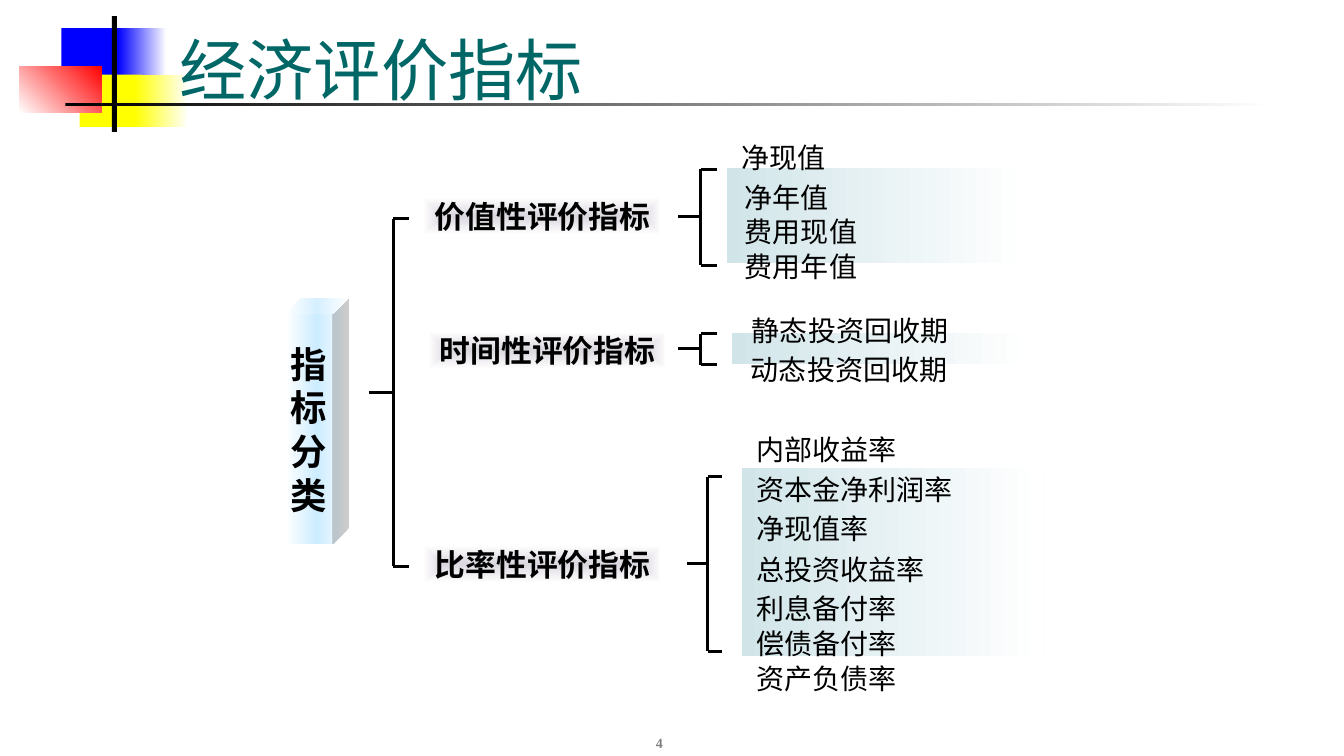
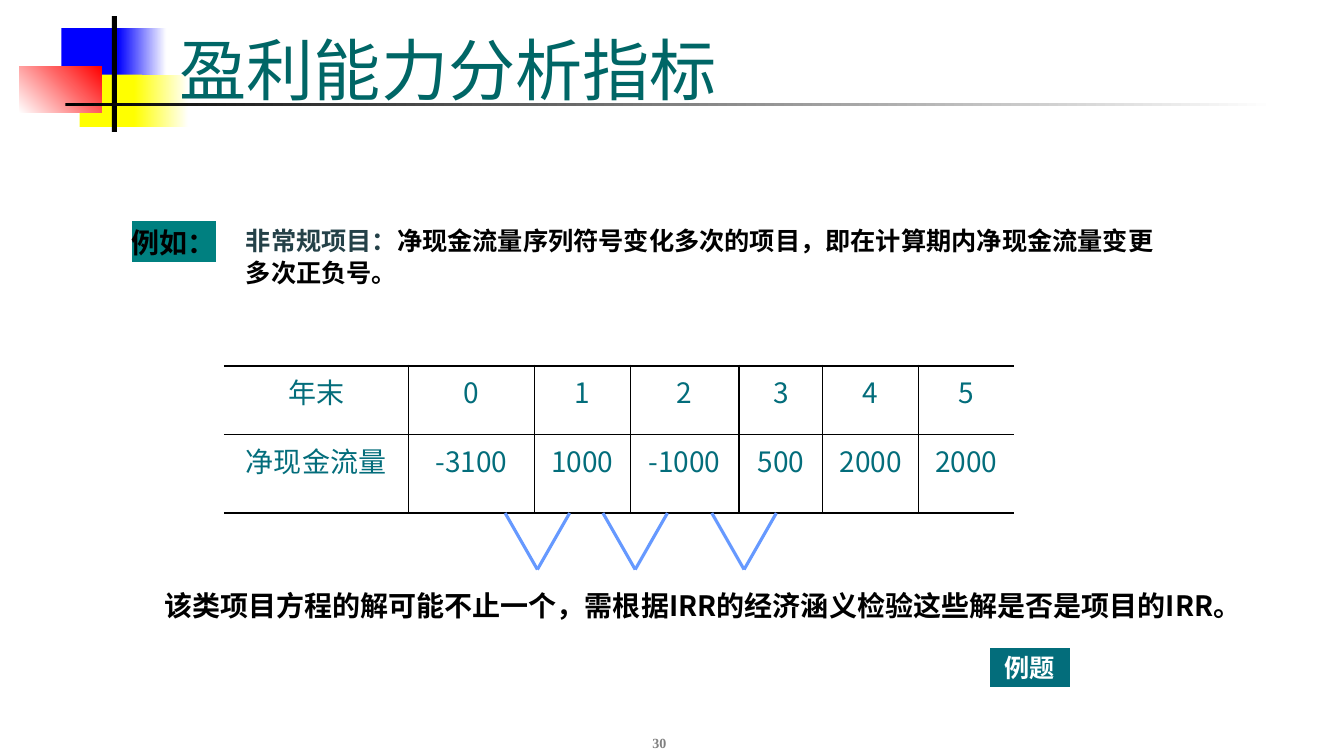
"""Build two slides on economic evaluation indicators."""
from dataclasses import dataclass

from pptx import Presentation
from pptx.dml.color import RGBColor
from pptx.enum.shapes import MSO_CONNECTOR, MSO_SHAPE
from pptx.enum.text import MSO_ANCHOR, MSO_AUTO_SIZE, PP_ALIGN
from pptx.oxml import parse_xml
from pptx.oxml.ns import nsdecls, qn
from pptx.util import Pt

PX = 9144


@dataclass(frozen=True)
class Theme:
    black: str = "000000"
    white: str = "FFFFFF"
    blue: str = "0000FF"
    yellow: str = "FFFF00"
    red: str = "FF0000"
    title: str = "006666"
    number: str = "808080"
    panel: str = "D1E5E9"
    label: str = "DBD7DF"
    sky: str = "CCECFF"
    teal: str = "036D7B"
    marker: str = "008080"
    slate: str = "244148"
    turn: str = "6699FF"
    cjk: str = "Noto Sans CJK SC"
    serif: str = "Times New Roman"
    sans: str = "Roboto"
    title_size: int = 48
    root_size: int = 26
    label_size: int = 22
    body_size: int = 20
    note_size: int = 18
    number_size: int = 10
    leading: float = 1.2
    rule: float = 2.25
    hairline: float = 1


THEME = Theme()
SLIDE_SIZE = (1333, 750)
TITLE_AREA = (168, 21, 1136, 92)
NUMBER_AREA = (515, 700, 278, 50)

MASTHEAD = [
    ((61, 28, 64, 52), [THEME.blue], 0),
    ((117, 28, 48, 52), [THEME.blue, THEME.white], 0),
    ((79, 74, 62, 52), [THEME.yellow], 0),
    ((133, 74, 54, 52), [THEME.yellow, THEME.white], 0),
    ((19, 66, 82, 46), [THEME.white, THEME.red], 315),
    ((111, 16, 5, 115), [THEME.black], 0),
    ((65, 102, 1200, 3), [THEME.black, THEME.white], 0),
]

ROOT = {"lines": ["指", "标", "分", "类"], "area": (283, 296, 63, 244),
        "bracket": (366, 390, 406, 217, 562)}
CATEGORIES = [
    {"label": "价值性评价指标", "area": (420, 196, 236, 37),
     "panel": (721, 167, 299, 94), "bracket": (672, 695, 711, 168, 263),
     "width": 190,
     "items": [("净现值", 726, 134), ("净年值", 729, 174),
               ("费用现值", 729, 208), ("费用年值", 729, 243)]},
    {"label": "时间性评价指标", "area": (425, 329, 236, 37),
     "panel": (726, 330, 299, 31), "bracket": (672, 695, 711, 331, 362),
     "width": 246,
     "items": [("静态投资回收期", 736, 306), ("动态投资回收期", 735, 345)]},
    {"label": "比率性评价指标", "area": (420, 541, 236, 37),
     "panel": (736, 464, 299, 187), "bracket": (681, 702, 716, 473, 646),
     "width": 278,
     "items": [("内部收益率", 740, 424), ("资本金净利润率", 740, 464),
               ("净现值率", 740, 503), ("总投资收益率", 740, 543),
               ("利息备付率", 740, 582), ("偿债备付率", 740, 617),
               ("资产负债率", 740, 651)]},
]

CASH_FLOW = [
    ["年末", "0", "1", "2", "3", "4", "5"],
    ["净现金流量", "-3100", "1000", "-1000", "500", "2000", "2000"],
]
TABLE_CORNER = (222, 363)
COLUMN_WIDTHS = [183, 125, 95, 108, 83, 95, 95]
ROW_HEIGHTS = [68, 78]
SIGN_CHANGES = {"lefts": [501, 598, 706], "half": 32, "top": 509, "bottom": 565}
EXAMPLE = "例如："
DEFINITION = ("非常规项目：", "净现金流量序列符号变化多次的项目，即在计算期内净现金流量变更多次正负号。")
CONCLUSION = "该类项目方程的解可能不止一个，需根据IRR的经济涵义检验这些解是否是项目的IRR。"
BUTTON = "例题"


def scaled(lengths):
    return [length * PX for length in lengths]


def add_span(para, text, size, color=THEME.black, font=THEME.cjk, bold=False, marker=None):
    span = para.add_run()
    span.text = text
    span.font.size = Pt(size)
    span.font.bold = bold
    span.font.color.rgb = RGBColor.from_string(color)
    span.font.name = font
    latin = span._r.get_or_add_rPr().find(qn("a:latin"))
    latin.addnext(parse_xml(f'<a:ea {nsdecls("a")} typeface="{THEME.cjk}"/>'))
    if marker:
        latin.addprevious(parse_xml(
            f'<a:highlight {nsdecls("a")}><a:srgbClr val="{marker}"/></a:highlight>'))


def write(frame, lines, size, align=PP_ALIGN.LEFT, anchor=MSO_ANCHOR.TOP, wrap=True,
          leading=THEME.leading, **style):
    frame.word_wrap = wrap
    frame.vertical_anchor = anchor
    for index, line in enumerate(lines):
        para = frame.add_paragraph() if index else frame.paragraphs[0]
        para.alignment = align
        para.line_spacing = Pt(round(size * leading, 1))
        add_span(para, line, size, **style)


def add_text(page, area, lines, size, **style):
    box = page.shapes.add_textbox(*scaled(area))
    write(box.text_frame, lines, size, **style)
    return box


def paint(box, colors, angle=0, radial=False):
    box.fill.solid()
    box.fill.fore_color.rgb = RGBColor.from_string(colors[0])
    if len(colors) == 1:
        return
    step = 100000 // (len(colors) - 1)
    stops = "".join(f'<a:gs pos="{index * step}"><a:srgbClr val="{color}"/></a:gs>'
                    for index, color in enumerate(colors))
    direction = f'<a:lin ang="{angle * 60000}" scaled="0"/>'
    if radial:
        direction = ('<a:path path="shape"><a:fillToRect l="50000" t="50000" '
                     'r="50000" b="50000"/></a:path>')
    gradient = parse_xml(f'<a:gradFill {nsdecls("a")} rotWithShape="1">'
                         f'<a:gsLst>{stops}</a:gsLst>{direction}</a:gradFill>')
    properties = box.element.spPr
    properties.replace(properties.find(qn("a:solidFill")), gradient)


def add_box(page, area, colors, kind=MSO_SHAPE.RECTANGLE, **gradient):
    box = page.shapes.add_shape(kind, *scaled(area))
    box.shadow.inherit = False
    box.line.fill.background()
    paint(box, colors, **gradient)
    return box


def add_line(page, start, end, color=THEME.black):
    line = page.shapes.add_connector(MSO_CONNECTOR.STRAIGHT, *scaled(start + end))
    line.line.color.rgb = RGBColor.from_string(color)
    line.line.width = Pt(THEME.rule)
    line.element.spPr.append(parse_xml(f'<a:effectLst {nsdecls("a")}/>'))


def add_bracket(page, stem, spine, tip, top, bottom):
    middle = (top + bottom) // 2
    add_line(page, (spine, top), (spine, bottom))
    for y, end in ((top, tip), (bottom, tip), (middle, stem)):
        add_line(page, (spine, y), (end, y))


def prepare_layout(layout, page):
    for holder in list(layout.placeholders):
        if holder.placeholder_format.idx:
            holder.element.getparent().remove(holder.element)
    title = layout.placeholders[0]
    title.left, title.top, title.width, title.height = scaled(TITLE_AREA)
    for area, colors, angle in MASTHEAD:
        band = add_box(page, area, colors, angle=angle)
        layout.shapes.element.append(band.element)


def add_heading(page, title, number):
    write(page.shapes.title.text_frame, [title], THEME.title_size,
          anchor=MSO_ANCHOR.BOTTOM, color=THEME.title, font=THEME.serif)
    add_text(page, NUMBER_AREA, [number], THEME.number_size, align=PP_ALIGN.CENTER,
             anchor=MSO_ANCHOR.BOTTOM, color=THEME.number, font=THEME.serif, bold=True)


def add_category(page, category):
    add_box(page, category["panel"], [THEME.panel, THEME.white])
    label = add_box(page, category["area"], [THEME.label, THEME.white], radial=True)
    write(label.text_frame, [category["label"]], THEME.label_size, align=PP_ALIGN.CENTER,
          anchor=MSO_ANCHOR.MIDDLE, wrap=False, bold=True)
    for text, left, top in category["items"]:
        box = add_text(page, (left, top, category["width"], 44), [text], THEME.body_size)
        box.text_frame.auto_size = MSO_AUTO_SIZE.SHAPE_TO_FIT_TEXT
    add_bracket(page, *category["bracket"])


def build_indicators(page):
    root = add_box(page, ROOT["area"], [THEME.white, THEME.sky, THEME.white], MSO_SHAPE.CUBE)
    root.adjustments[0] = 0.25
    write(root.text_frame, ROOT["lines"], THEME.root_size, align=PP_ALIGN.CENTER,
          anchor=MSO_ANCHOR.MIDDLE, wrap=False, bold=True)
    add_bracket(page, *ROOT["bracket"])
    for category in CATEGORIES:
        add_category(page, category)


def set_borders(cell, widths):
    properties = cell._tc.get_or_add_tcPr()
    for side, width in zip("LRTB", widths):
        fill = (f'<a:solidFill><a:srgbClr val="{THEME.black}"/></a:solidFill>'
                if width else "<a:noFill/>")
        properties.append(parse_xml(
            f'<a:ln{side} {nsdecls("a")} w="{int(Pt(width))}">{fill}</a:ln{side}>'))


def add_cash_flow(page):
    area = (*TABLE_CORNER, sum(COLUMN_WIDTHS), sum(ROW_HEIGHTS))
    rows, columns = len(ROW_HEIGHTS), len(COLUMN_WIDTHS)
    table = page.shapes.add_table(rows, columns, *scaled(area)).table
    table.first_row = table.horz_banding = False
    for column, width in zip(table.columns, COLUMN_WIDTHS):
        column.width = width * PX
    for row, height in zip(table.rows, ROW_HEIGHTS):
        row.height = height * PX
    for y, values in enumerate(CASH_FLOW):
        for x, value in enumerate(values):
            cell = table.cell(y, x)
            set_borders(cell, (THEME.hairline if x else 0,
                               THEME.hairline if x < columns - 1 else 0,
                               THEME.hairline if y else THEME.rule,
                               THEME.hairline if y < rows - 1 else THEME.rule))
            cell.fill.background()
            para = cell.text_frame.paragraphs[0]
            para.alignment = PP_ALIGN.CENTER
            add_span(para, value, THEME.body_size, THEME.teal)


def build_profitability(page):
    add_text(page, (121, 219, 120, 44), [EXAMPLE], THEME.body_size,
             bold=True, marker=THEME.marker)
    term, meaning = DEFINITION
    definition = add_text(page, (234, 217, 927, 72), [term], THEME.note_size,
                          leading=1.27, color=THEME.slate, font=THEME.sans, bold=True)
    add_span(definition.text_frame.paragraphs[0], meaning, THEME.note_size, bold=True)
    add_cash_flow(page)
    half, top, bottom = (SIGN_CHANGES[key] for key in ("half", "top", "bottom"))
    for left in SIGN_CHANGES["lefts"]:
        for x in (left, left + 2 * half):
            add_line(page, (x, top), (left + half, bottom), THEME.turn)
    add_text(page, (153, 579, 1090, 77), [CONCLUSION], THEME.body_size, bold=True)
    button = add_box(page, (982, 643, 79, 39), [THEME.teal], MSO_SHAPE.ACTION_BUTTON_CUSTOM)
    write(button.text_frame, [BUTTON], THEME.note_size, align=PP_ALIGN.CENTER,
          anchor=MSO_ANCHOR.MIDDLE, color=THEME.white, bold=True)


def main():
    deck = Presentation()
    deck.slide_width, deck.slide_height = scaled(SLIDE_SIZE)
    layout = deck.slide_layouts[5]
    pages = [("经济评价指标", "4", build_indicators),
             ("盈利能力分析指标", "30", build_profitability)]
    for index, (title, number, build) in enumerate(pages):
        page = deck.slides.add_slide(layout)
        if index == 0:
            prepare_layout(layout, page)
        add_heading(page, title, number)
        build(page)
    deck.save("out.pptx")


if __name__ == "__main__":
    main()
